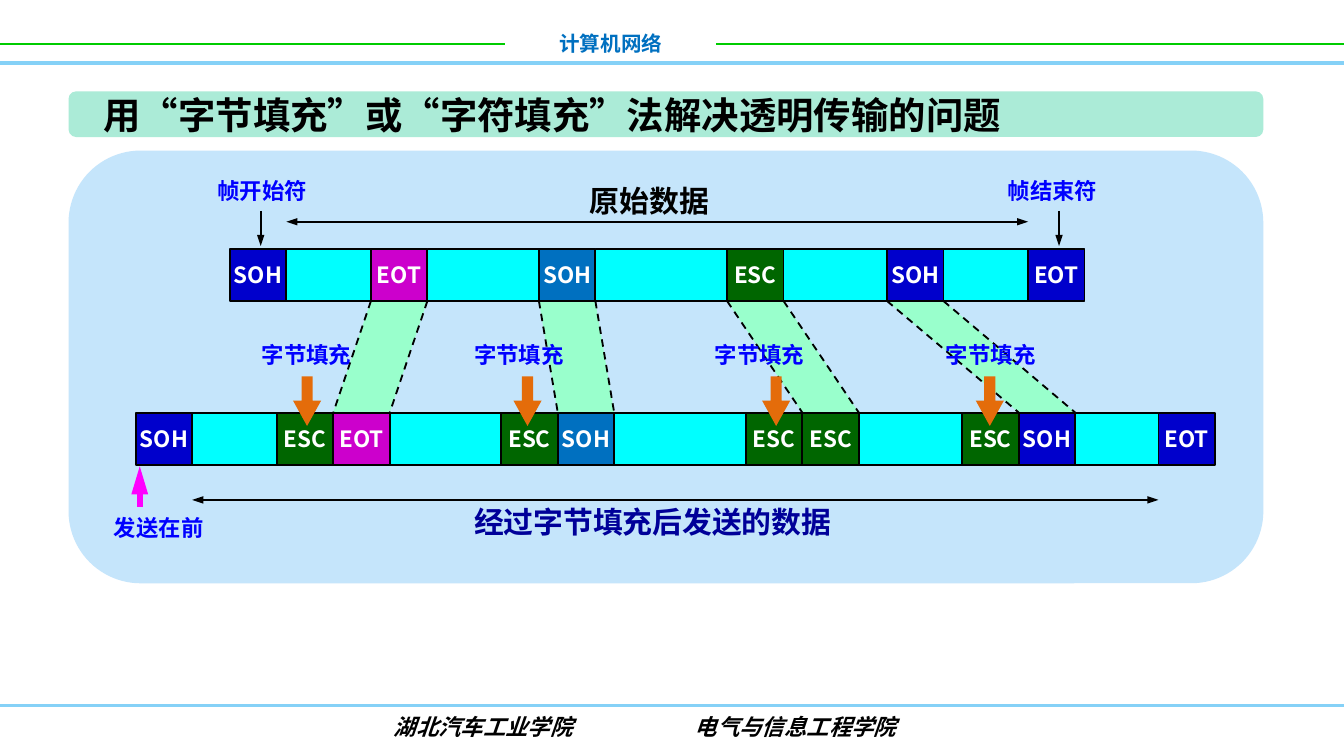
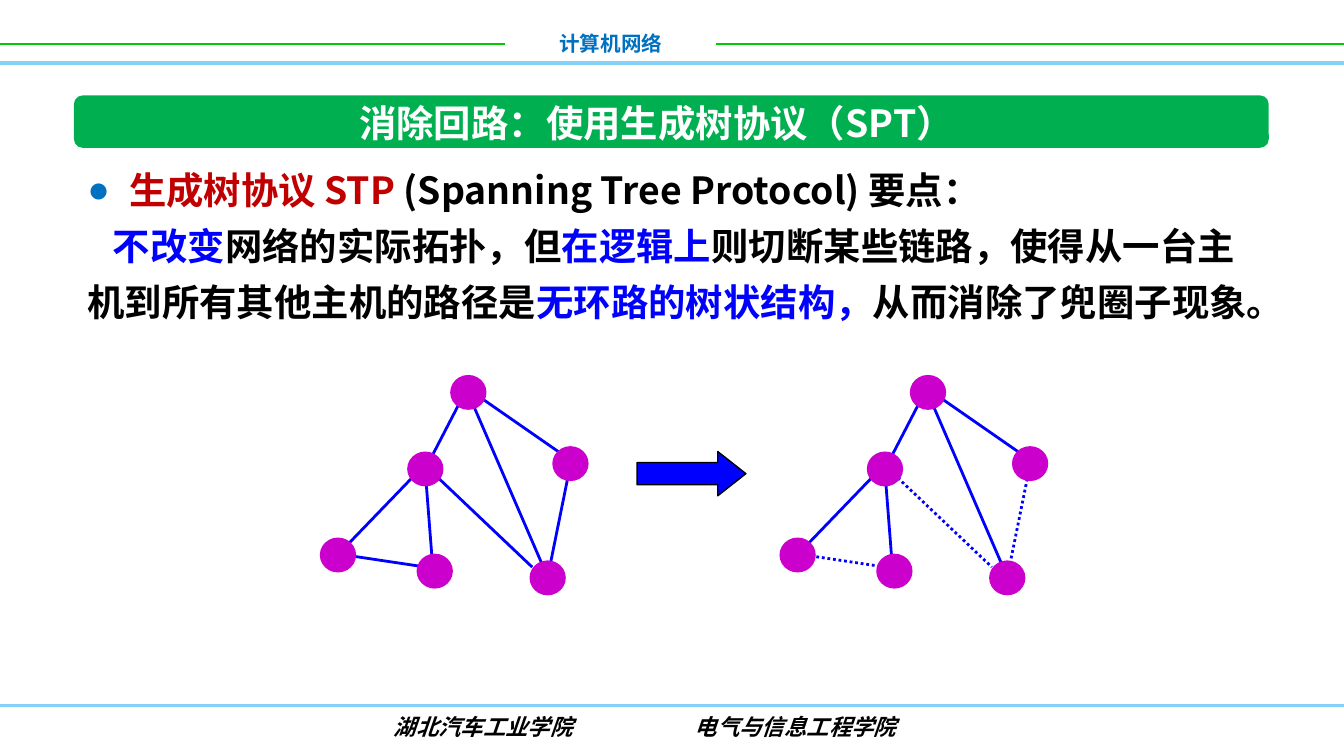
import pptx
import pptx.util
import pptx.dml.color
import pptx.enum.dml
import pptx.enum.shapes
import pptx.enum.text
import pptx.oxml.ns
import lxml.etree

FONT = "Noto Sans CJK SC"
BLACK, WHITE, BLUE, NAVY = "000000", "FFFFFF", "0000FF", "0000CC"
GREEN, PURPLE, AZURE, CYAN = "006600", "CC00CC", "0070C0", "00FFFF"
CELL_W, CELL_H = 0.42, 0.39
TOP, LOW = 1.85, 3.07

Inches = pptx.util.Inches
SHAPE = pptx.enum.shapes.MSO_SHAPE
DASH = pptx.enum.dml.MSO_LINE
ALIGN = pptx.enum.text.PP_ALIGN
ANCHOR = pptx.enum.text.MSO_ANCHOR


def rgb(code):
    return pptx.dml.color.RGBColor.from_string(code)


def node(parent, tag, **attrs):
    """Append an XML child such as a:tailEnd."""
    return lxml.etree.SubElement(parent, pptx.oxml.ns.qn(tag), attrs)


def style(para, size, color, name=FONT, italic=False):
    font = para.font
    font.size = pptx.util.Pt(size)
    font.bold = True
    font.italic = italic
    font.name = name
    font.color.rgb = rgb(color)
    node(font._element, "a:ea", typeface=FONT)


def place(shape, x, y, w, h):
    shape.left, shape.top = Inches(x), Inches(y)
    shape.width, shape.height = Inches(w), Inches(h)


def label(slide, text, x, y, w, h, size=12, color=BLUE, align=ALIGN.LEFT, wrap=False):
    box = slide.shapes.add_textbox(Inches(x), Inches(y), Inches(w), Inches(h))
    box.text_frame.word_wrap = wrap
    para = box.text_frame.paragraphs[0]
    para.text = text
    para.alignment = align
    style(para, size, color)


def paint(shape, fill, edge=None, width=1):
    shape.shadow.inherit = False
    shape.fill.solid()
    shape.fill.fore_color.rgb = rgb(fill)
    if edge:
        shape.line.color.rgb = rgb(edge)
        shape.line.width = pptx.util.Pt(width)
    else:
        shape.line.fill.background()


def block(slide, kind, x, y, w, h, fill, edge=None, width=1, adjust=()):
    shape = slide.shapes.add_shape(kind, Inches(x), Inches(y), Inches(w), Inches(h))
    paint(shape, fill, edge, width)
    for i, value in enumerate(adjust):
        shape.adjustments[i] = value
    return shape


def line(slide, start, end, color=BLACK, width=1, dash=None, ends=(), tip=("sm", "med")):
    """Draw a line; ends names its arrowheads, tip their width and length."""
    kind = pptx.enum.shapes.MSO_CONNECTOR.STRAIGHT
    link = slide.shapes.add_connector(kind, *map(Inches, start + end))
    link.line.color.rgb = rgb(color)
    link.line.width = pptx.util.Pt(width)
    if dash:
        link.line.dash_style = dash
    for end in ends:
        node(link.line._get_or_add_ln(), end, type="triangle", w=tip[0], len=tip[1])
    node(link._element.spPr, "a:effectLst")


def cell(slide, text, x, y, fill):
    """Draw one control character of a frame."""
    shape = block(slide, SHAPE.RECTANGLE, x, y, CELL_W, CELL_H, fill, BLACK)
    frame = shape.text_frame
    frame.word_wrap = False
    frame.vertical_anchor = ANCHOR.MIDDLE
    para = frame.paragraphs[0]
    para.text = text
    para.alignment = ALIGN.CENTER
    style(para, 12, WHITE)


def strip(slide, left, right, y):
    """Draw a whole frame: SOH, data field and EOT."""
    block(slide, SHAPE.RECTANGLE, left, y, right - left, CELL_H, CYAN, BLACK)
    cell(slide, "SOH", left - CELL_W, y, NAVY)
    cell(slide, "EOT", right, y, NAVY)


def ribbon(slide, top, low):
    """Fill the band that leads from a top cell to a low cell."""
    head = TOP + CELL_H
    points = [(top + CELL_W, head), (low + CELL_W, LOW), (low, LOW)]
    form = slide.shapes.build_freeform(Inches(top), Inches(head))
    form.add_line_segments([(Inches(x), Inches(y)) for x, y in points])
    paint(form.convert_to_shape(), "99FFCC")


def frame(slide):
    """Draw the header and footer shared by the slides."""
    for start, end, y, color, width in [
        (0, 3.76, 0.33, "00CC00", 1), (5.33, 10, 0.33, "00CC00", 1),
        (0, 10, 0.47, "85D1F7", 2), (0, 10, 5.25, "85D1F7", 1.5),
    ]:
        line(slide, (start, y), (end, y), color, width)
    label(slide, "计算机网络", 3.76, 0.18, 1.57, 0.29, 11, AZURE, ALIGN.CENTER, True)
    box = slide.shapes.add_textbox(Inches(1.02), Inches(5.26), Inches(7.56), Inches(0.3))
    box.text_frame.word_wrap = True
    box.text_frame.margin_left = Inches(1.91)
    para = box.text_frame.paragraphs[0]
    para.text = "湖北汽车工业学院\t电气与信息工程学院"
    tabs = node(para._p.get_or_add_pPr(), "a:tabLst")
    node(tabs, "a:tab", pos=str(Inches(2.24)), algn="l")
    style(para, 12, BLACK, "Arial", True)


def title(slide, text, bar, fill, area, color, align):
    block(slide, SHAPE.ROUNDED_RECTANGLE, *bar, fill, adjust=[0.167])
    shape = slide.shapes.title
    slide.shapes._spTree.append(shape._element)
    place(shape, *area)
    shape.text_frame.word_wrap = False
    shape.text_frame.auto_size = pptx.enum.text.MSO_AUTO_SIZE.NONE
    shape.text_frame.vertical_anchor = ANCHOR.MIDDLE
    para = shape.text_frame.paragraphs[0]
    para.text = text
    para.alignment = align
    style(para, 20, color)


def lines(para, runs, margin, indent, bullet=None):
    """Write one body paragraph from (text, colour) runs."""
    props = para._p.get_or_add_pPr()
    props.set("marL", str(Inches(margin)))
    props.set("indent", str(Inches(indent)))
    para.line_spacing = pptx.util.Pt(30)
    para.space_before = pptx.util.Pt(0)
    if bullet:
        node(node(props, "a:buClr"), "a:srgbClr", val=AZURE)
        node(props, "a:buChar", char=bullet)
    else:
        node(props, "a:buNone")
    style(para, 20, BLACK)
    for text, color in runs:
        run = para.add_run()
        run.text = text
        run.font.color.rgb = rgb(color)


def stuffing(slide):
    frame(slide)
    title(slide, "用“字节填充”或“字符填充”法解决透明传输的问题",
          (0.51, 0.68, 8.89, 0.34), "ABEBD7", (0.67, 0.63, 6.93, 0.44), BLACK, ALIGN.LEFT)
    block(slide, SHAPE.ROUNDED_RECTANGLE, 0.51, 1.12, 8.89, 3.22, "C5E5FB")

    # name, fill, then the left of: top cell, low cell, label, arrow
    marks = [
        ("EOT", PURPLE, 2.76, 2.48, 1.85, 2.18),
        ("SOH", AZURE, 4.01, 4.15, 3.43, 3.82),
        ("ESC", GREEN, 5.41, 5.97, 5.22, 5.67),
        ("SOH", NAVY, 6.6, 7.58, 6.94, 7.26),
    ]
    for _, _, top, low, _, _ in marks:
        ribbon(slide, top, low)
    strip(slide, 2.13, 7.65, TOP)
    strip(slide, 1.43, 8.62, LOW)
    for name, fill, top, low, left, arrow in marks:
        cell(slide, name, top, TOP, fill)
        cell(slide, "ESC", low - CELL_W, LOW, GREEN)
        cell(slide, name, low, LOW, fill)
        for side in (0, CELL_W):
            line(slide, (top + side, TOP + CELL_H), (low + side, LOW), dash=DASH.DASH)
        label(slide, "字节填充", left, 2.49, 0.88, 0.3)
        block(slide, SHAPE.DOWN_ARROW, arrow, 2.8, 0.21, 0.37,
              "E46C0A", adjust=[0.394, 0.901])

    for left, right, y in [(2.13, 7.65, 1.65), (1.43, 8.62, 3.72)]:
        line(slide, (left, y), (right, y), ends=("a:headEnd", "a:tailEnd"))
    label(slide, "原始数据", 4.29, 1.31, 1.1, 0.37, 16, BLACK)
    label(slide, "经过字节填充后发送的数据", 3.43, 3.7, 3.27, 0.37, 16, "000099", wrap=True)
    for text, left, x in [("帧开始符", 1.52, 1.94), ("帧结束符", 7.4, 7.88)]:
        label(slide, text, left, 1.27, 0.88, 0.3)
        line(slide, (x, 1.57), (x, 1.83), ends=["a:tailEnd"])
    line(slide, (1.04, 3.77), (1.04, 3.47), "FF00FF", 3,
         ends=["a:tailEnd"], tip=("med", "lg"))
    label(slide, "发送在前", 0.75, 3.78, 0.93, 0.3, wrap=True)


def graph(slide, shift, cut=()):
    """Draw the network; links whose index is in cut are dotted."""
    links = [
        ((3.46, 2.92), (3.17, 3.48)), ((3.52, 2.92), (4.24, 3.42)),
        ((3.17, 3.47), (3.96, 4.22)), ((4.24, 3.48), (4.08, 4.27)),
        ((3.52, 3.01), (4.03, 4.19)), ((2.57, 4.07), (3.1, 3.52)),
        ((3.22, 4.22), (3.16, 3.45)), ((3.17, 4.22), (2.57, 4.13)),
    ]
    hosts = [(3.35, 2.79), (4.11, 3.32), (3.94, 4.17), (2.38, 4), (3.1, 4.12), (3.03, 3.36)]
    for i, ((x1, y1), (x2, y2)) in enumerate(links):
        dash = DASH.ROUND_DOT if i in cut else None
        line(slide, (x1 + shift, y1), (x2 + shift, y2), BLUE, 1.5, dash)
    for x, y in hosts:
        block(slide, SHAPE.OVAL, x + shift, y, 0.27, 0.26, PURPLE)


def tree(slide):
    frame(slide)
    title(slide, "消除回路：使用生成树协议（SPT）",
          (0.55, 0.71, 8.89, 0.39), "00B050", (2.47, 0.69, 4.83, 0.44), WHITE, ALIGN.CENTER)
    body = slide.placeholders[1]
    place(body, 0.55, 1.11, 8.85, 1.36)
    text = body.text_frame
    text.auto_size = pptx.enum.text.MSO_AUTO_SIZE.NONE
    lines(text.paragraphs[0], [
        ("生成树协议 STP ", "C00000"),
        ("(Spanning Tree Protocol) 要点：", BLACK),
    ], 0.31, -0.31, "●")
    lines(text.add_paragraph(), [
        ("不改变", BLUE),
        ("网络的实际拓扑，但", BLACK),
        ("在逻辑上", BLUE),
        ("则切断某些链路，使得从一台主机到所有其他主机的路径是", BLACK),
        ("无环路的树状结构，", BLUE),
        ("从而消除了兜圈子现象。", BLACK),
    ], 0, 0.19)
    block(slide, SHAPE.RIGHT_ARROW, 4.74, 3.36, 0.81, 0.33, BLUE, BLACK, 0.75, [0.5, 0.635])
    graph(slide, 0)
    graph(slide, 3.42, (2, 3, 7))


def main():
    deck = pptx.Presentation()
    deck.slide_width = Inches(10)
    deck.slide_height = deck.slide_width * 9 // 16
    stuffing(deck.slides.add_slide(deck.slide_layouts[5]))
    tree(deck.slides.add_slide(deck.slide_layouts[1]))
    deck.save("out.pptx")


if __name__ == "__main__":
    main()
